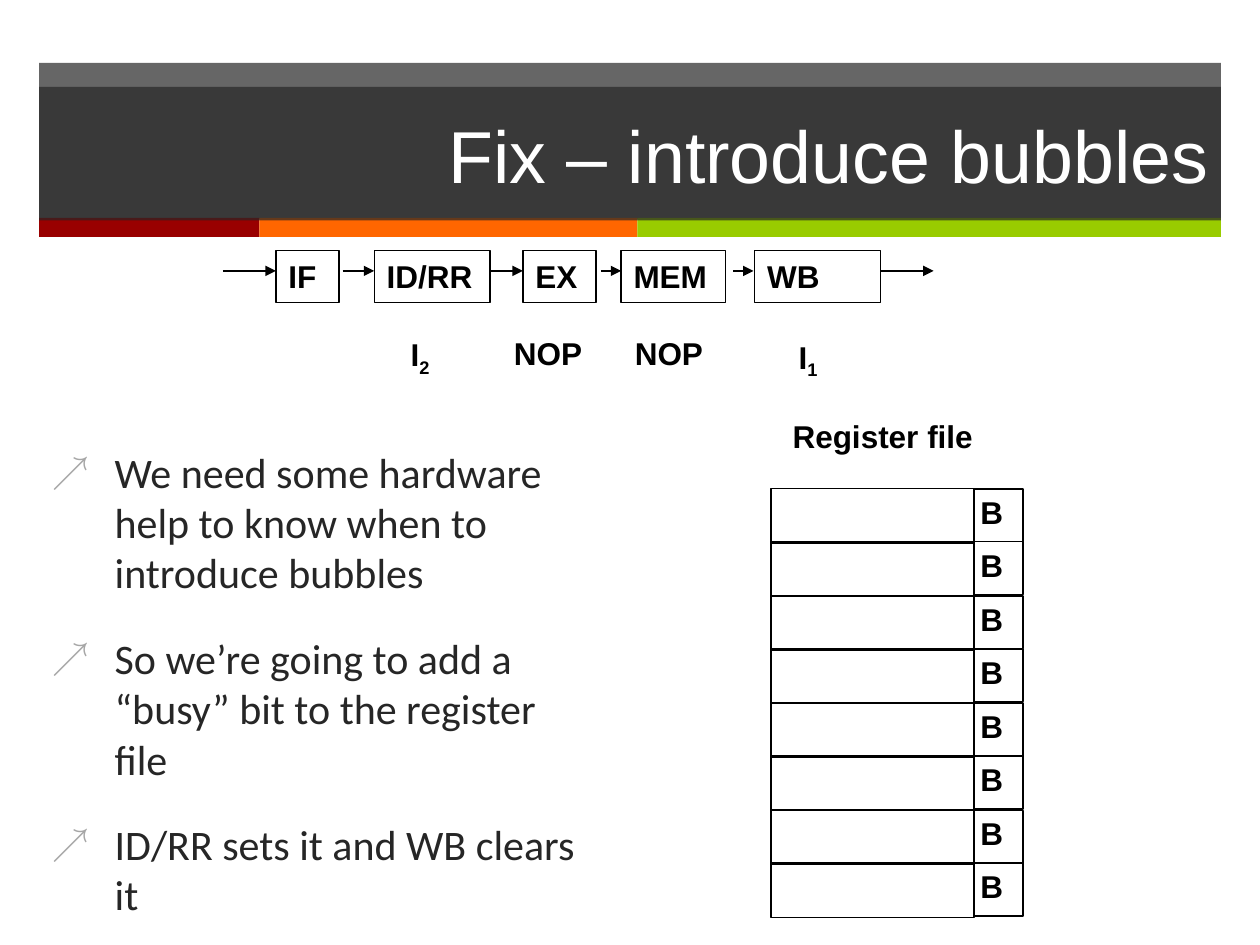
from lxml.etree import SubElement
from pptx import Presentation
from pptx.dml.color import RGBColor
from pptx.enum.shapes import MSO_CONNECTOR, MSO_SHAPE
from pptx.enum.text import MSO_ANCHOR, MSO_AUTO_SIZE, PP_ALIGN
from pptx.oxml.ns import qn
from pptx.util import Emu, Pt

SCALE = 9144  # EMU in one px, 100 px to the inch
BLACK = RGBColor(0, 0, 0)
WHITE = RGBColor(255, 255, 255)
DARK = RGBColor(0x26, 0x26, 0x26)
RED = RGBColor(0x99, 0, 0)
ORANGE = RGBColor(0xFF, 0x66, 0)
GREEN = RGBColor(0x99, 0xCC, 0)
GREY = "A6A6A6"

STAGES = [("IF", 219, 50), ("ID/RR", 297, 92), ("EX", 415, 58),
          ("MEM", 493, 83), ("WB", 599, 100)]
ARROWS = [(177, 219), (272, 297), (390, 415), (477, 493), (582, 598),
          (699, 741)]
POINTS = ["We need some hardware help to know when to introduce bubbles",
          "So we’re going to add a “busy” bit to the register file",
          "ID/RR sets it and WB clears it"]
ROWS = 8


def px(*nums):
    return [Emu(n * SCALE) for n in nums]


def write(para, text, sub="", size=18, font="Arial", color=BLACK, bold=True,
          align=PP_ALIGN.LEFT):
    """Fill a paragraph with text and an optional subscript."""
    para.alignment = align
    for part in filter(None, (text, sub)):
        run = para.add_run()
        run.text = part
        run.font.size = Pt(size)
        run.font.name = font
        run.font.bold = bold
        run.font.color.rgb = color
    if sub:
        run._r.get_or_add_rPr().set("baseline", "-25000")


def inset(frame, side, top):
    frame.margin_left = frame.margin_right = Emu(side * SCALE)
    frame.margin_top = frame.margin_bottom = Emu(top * SCALE)


def paint(shape, color, alpha=None):
    shape.fill.solid()
    shape.fill.fore_color.rgb = color
    if alpha:
        tone = shape.fill._xPr.find(".//" + qn("a:srgbClr"))
        SubElement(tone, qn("a:alpha"), val=str(alpha * 1000))


def box(slide, area, fill=None, alpha=None, line=None, text="", sub="",
        pad=(10, 5)):
    shape = slide.shapes.add_shape(MSO_SHAPE.RECTANGLE, *px(*area))
    shape.shadow.inherit = False
    if fill is None:
        shape.fill.background()
    else:
        paint(shape, fill, alpha)
    if line is None:
        shape.line.fill.background()
    else:
        shape.line.color.rgb = line
        shape.line.width = Pt(0.75)
    if text:
        frame = shape.text_frame
        frame.vertical_anchor = MSO_ANCHOR.TOP
        inset(frame, *pad)
        write(frame.paragraphs[0], text, sub)
    return shape


def label(slide, area, text, pad=(10, 5), wrap=False):
    frame = slide.shapes.add_textbox(*px(*area)).text_frame
    frame.word_wrap = wrap
    inset(frame, *pad)
    write(frame.paragraphs[0], text)


def arrow(slide, left, right, y):
    link = slide.shapes.add_connector(
        MSO_CONNECTOR.STRAIGHT, *px(left, y, right, y))
    link.line.color.rgb = BLACK
    link.line.width = Pt(0.75)
    SubElement(link.line._get_or_add_ln(), qn("a:tailEnd"), type="triangle")
    SubElement(link._element.spPr, qn("a:effectLst"))


def place(shape, area):
    shape.left, shape.top, shape.width, shape.height = px(*area)
    shape.text_frame.auto_size = MSO_AUTO_SIZE.NONE
    shape.text_frame.word_wrap = True


def head(slide):
    box(slide, (31, 50, 938, 124), DARK, 70)
    for left, width, color in [(31, 175, RED), (206, 300, ORANGE),
                               (506, 463, GREEN)]:
        box(slide, (left, 173, width, 15), color)
    title = slide.shapes.title
    place(title, (31, 69, 938, 106))
    paint(title, DARK, 70)
    title.text_frame.vertical_anchor = MSO_ANCHOR.MIDDLE
    write(title.text_frame.paragraphs[0], "Fix – introduce bubbles", size=42,
          color=WHITE, bold=False, align=PP_ALIGN.RIGHT)
    # Bring the title in front of the bands
    slide.shapes._spTree.append(title._element)


def bullet(para):
    props = para._p.get_or_add_pPr()
    props.set("marL", str(50 * SCALE))
    props.set("indent", str(-50 * SCALE))
    tint = SubElement(props, qn("a:buClr"))
    SubElement(tint, qn("a:srgbClr"), val=GREY)
    SubElement(props, qn("a:buSzPct"), val="90000")
    SubElement(props, qn("a:buChar"), char="↗")


def points(slide):
    body = slide.placeholders[1]
    place(body, (31, 349, 449, 378))
    frame = body.text_frame
    for i, text in enumerate(POINTS):
        para = frame.add_paragraph() if i else frame.paragraphs[0]
        bullet(para)
        para.space_before = Pt(20 if i else 0)
        write(para, text, size=24, font="Calibri", color=DARK, bold=False)


def pipe(slide):
    for name, left, width in STAGES:
        box(slide, (left, 199, width, 41), line=BLACK, text=name)
    for left, right in ARROWS:
        arrow(slide, left, right, 215)
    # What each stage holds
    for left in (398, 494):
        label(slide, (left, 260, 74, 40), "NOP")
    box(slide, (316, 261, 38, 38), WHITE, text="I", sub="2")
    box(slide, (624, 263, 38, 38), WHITE, text="I", sub="1")


def bank(slide):
    label(slide, (624, 328, 188, 32), "Register file", (5, 3), True)
    for row in range(ROWS):
        top = 388 + row * 85 // 2
        box(slide, (612, top, 161, 43), line=BLACK)
        box(slide, (773, top, 39, 42), line=BLACK, text="B", pad=(5, 3))


def main():
    deck = Presentation()
    deck.slide_width, deck.slide_height = px(1000, 750)
    slide = deck.slides.add_slide(deck.slide_layouts[1])
    head(slide)
    points(slide)
    pipe(slide)
    bank(slide)
    deck.save("out.pptx")


if __name__ == "__main__":
    main()
